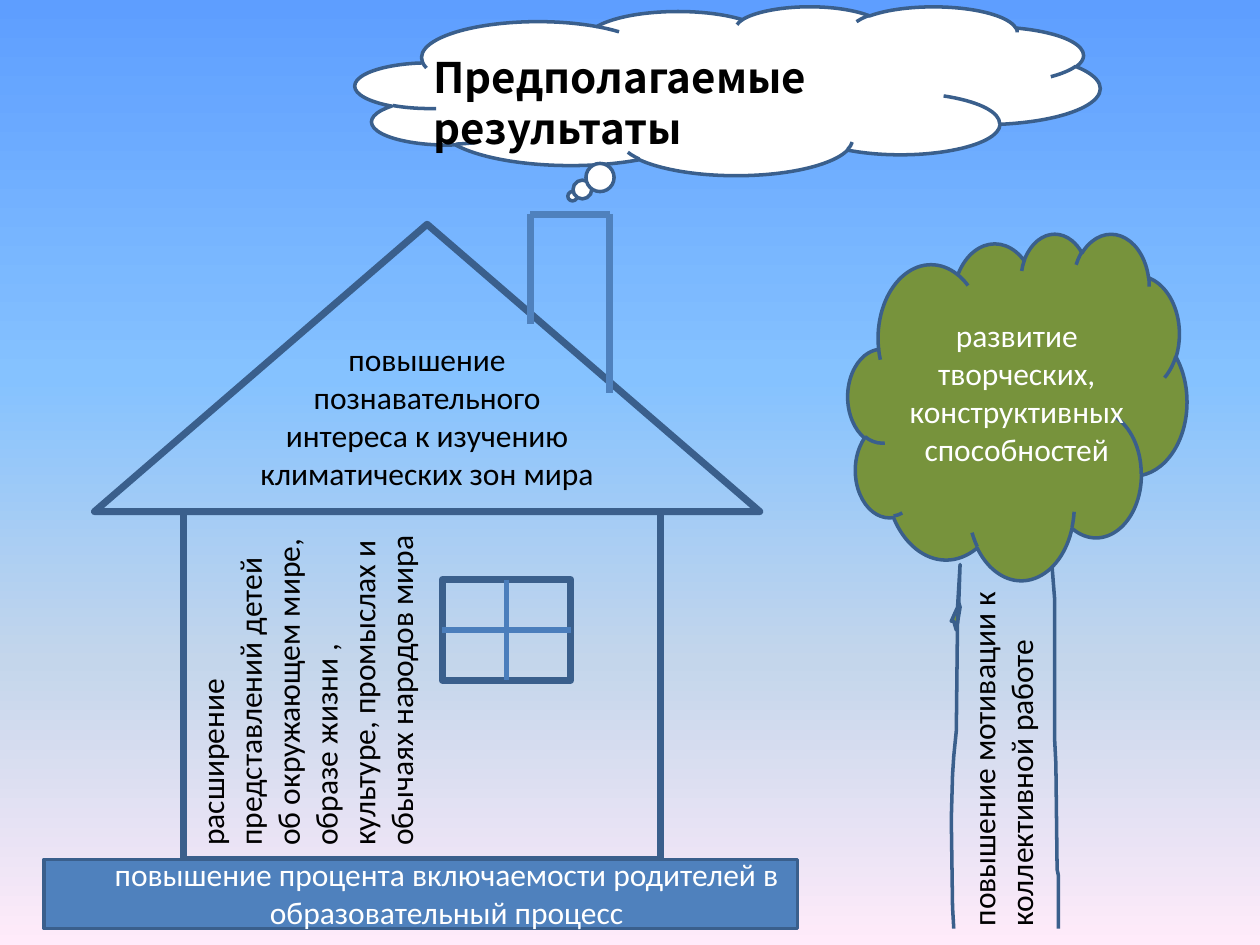
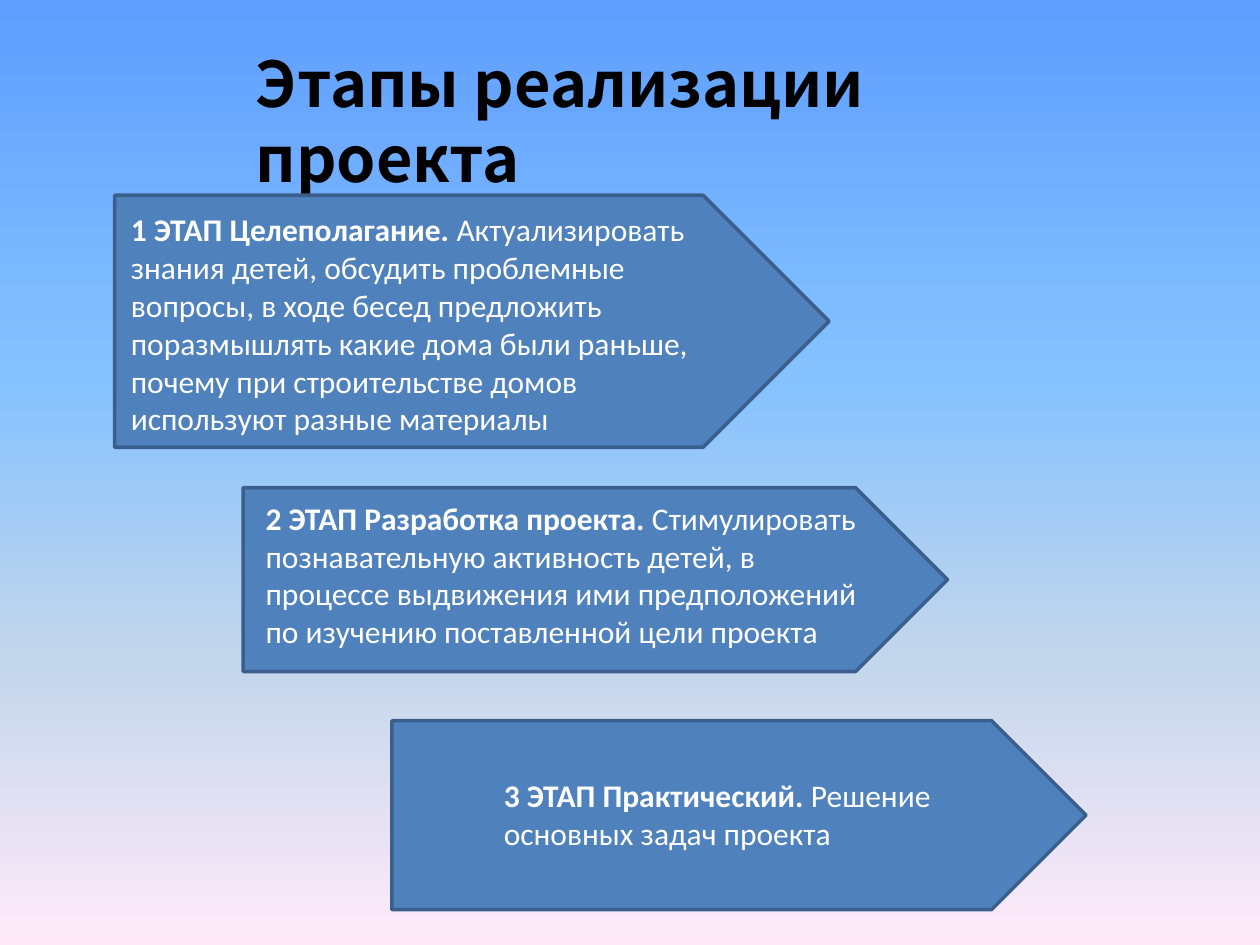
from lxml.etree import SubElement
from pptx import Presentation
from pptx.dml.color import RGBColor
from pptx.enum.shapes import MSO_CONNECTOR, MSO_SHAPE
from pptx.enum.text import MSO_ANCHOR, MSO_AUTO_SIZE, PP_ALIGN
from pptx.oxml.ns import qn
from pptx.util import Inches, Pt

# Grid: 100 columns by 75 rows of square cells
SLIDE_WIDTH, SLIDE_HEIGHT = Inches(10), Inches(7.5)
CELL = SLIDE_WIDTH / 100

BLACK = RGBColor(0x00, 0x00, 0x00)
WHITE = RGBColor(0xFF, 0xFF, 0xFF)
BLUE = RGBColor(0x4F, 0x81, 0xBD)
PANE_BLUE = RGBColor(0x4B, 0x7E, 0xBC)
OUTLINE = RGBColor(0x3A, 0x5F, 0x8C)
LEAF_GREEN = RGBColor(0x77, 0x93, 0x3C)
SKY = [(0, RGBColor(0x5E, 0x9E, 0xFF)), (40, RGBColor(0x85, 0xC2, 0xFF)),
       (70, RGBColor(0xC4, 0xD6, 0xEB)), (100, RGBColor(0xFF, 0xEB, 0xFA))]
TITLE_FONT, BODY_FONT = "Noto Sans CJK KR", "Calibri"
BODY_SIZE = 18

# Stage arrow and text areas (column, row, columns, rows) and (heading, text) lines
STAGES = [
    ((9.1, 15.5, 56.7, 20), (9.4, 16.2, 50, 19.2),
     [("1 ЭТАП Целеполагание.",
       " Актуализировать знания детей, обсудить проблемные вопросы, в ходе бесед "
       "предложить поразмышлять какие дома были раньше, почему при строительстве "
       "домов используют разные материалы")]),
    ((19.3, 38.7, 55.9, 14.6), (20.1, 39.1, 50, 13.1),
     [("2 ЭТАП Разработка проекта.",
       " Стимулировать познавательную активность детей, в процессе выдвижения ими "
       "предположений по изучению поставленной цели проекта")]),
    ((31.1, 57.2, 55.1, 15), (39, 61.1, 41.7, 7.1),
     [("3 ЭТАП Практический.", " Решение"), ("", "основных задач проекта")]),
]


def cells(*lengths):
    return [round(length * CELL) for length in lengths]


def paint_sky(master):
    fill = master.background.fill
    fill.gradient()
    fill.gradient_angle = 270
    stops = master.element.find(".//" + qn("a:gsLst"))
    for stop in list(stops):
        stops.remove(stop)
    for percent, color in SKY:
        stop = SubElement(stops, qn("a:gs"), pos=str(percent * 1000))
        SubElement(stop, qn("a:srgbClr"), val=str(color))


def style_outline(shape, fill=None, weight=2):
    shape.shadow.inherit = False
    if fill is None:
        shape.fill.background()
    else:
        shape.fill.solid()
        shape.fill.fore_color.rgb = fill
    shape.line.color.rgb = OUTLINE
    shape.line.width = Pt(weight)


def add_figure(shapes, kind, area, fill=None, weight=2):
    figure = shapes.add_shape(kind, *cells(*area))
    style_outline(figure, fill, weight)
    return figure


def add_contour(shapes, points, fill=None, close=False):
    start, *rest = [cells(*point) for point in points]
    builder = shapes.build_freeform(*start)
    builder.add_line_segments(rest, close=close)
    style_outline(builder.convert_to_shape(), fill)


def add_line(shapes, start, end, color, weight):
    line = shapes.add_connector(MSO_CONNECTOR.STRAIGHT, *cells(*start, *end))
    line.line.color.rgb = color
    line.line.width = Pt(weight)
    SubElement(line.element.spPr, qn("a:effectLst"))


def format_run(run, color, size=BODY_SIZE, font=BODY_FONT, bold=False):
    run.font.name, run.font.size, run.font.bold = font, Pt(size), bold
    run.font.color.rgb = color


def add_caption(shapes, area, lines, color, align=PP_ALIGN.LEFT, rotation=0):
    """Each line is a (bold heading, plain text) pair."""
    caption = shapes.add_textbox(*cells(*area))
    caption.rotation = rotation
    frame = caption.text_frame
    frame.word_wrap = True
    frame.text = "\n".join(heading + text for heading, text in lines)
    for paragraph, (heading, text) in zip(frame.paragraphs, lines):
        paragraph.alignment = align
        if heading:
            paragraph.runs[0].text = heading
            paragraph.add_run().text = text
        for run in paragraph.runs:
            format_run(run, color, bold=run.text == heading)


def set_title(slide, text, area, size):
    title = slide.shapes.title
    title.left, title.top, title.width, title.height = cells(*area)
    frame = title.text_frame
    frame.text = text
    frame.word_wrap = True
    frame.auto_size = MSO_AUTO_SIZE.NONE
    frame.vertical_anchor = MSO_ANCHOR.TOP
    frame.paragraphs[0].alignment = PP_ALIGN.LEFT
    format_run(frame.paragraphs[0].runs[0], BLACK, size, TITLE_FONT, True)
    return title


def draw_house(shapes):
    # Walls and roof
    add_figure(shapes, MSO_SHAPE.RECTANGLE, (14.6, 40.6, 37.8, 27.6), weight=4)
    add_figure(shapes, MSO_SHAPE.ISOSCELES_TRIANGLE, (7.5, 17.8, 52.8, 22.8), weight=4)

    # Window with its crossing bars
    left, top, width, height = window = (35.1, 46, 10.2, 8)
    add_figure(shapes, MSO_SHAPE.RECTANGLE, window, weight=4)
    middle, center = left + width / 2, top + height / 2
    add_line(shapes, (middle, top), (middle, top + height), PANE_BLUE, 3)
    add_line(shapes, (left, center), (left + width, center), PANE_BLUE, 3)

    # Chimney
    chimney = [(42.1, 25.7), (42.1, 17), (48.4, 17), (48.4, 31.2)]
    for start, end in zip(chimney, chimney[1:]):
        add_line(shapes, start, end, BLUE, 4)

    # Captions on the walls, roof and foundation
    add_caption(shapes, (10.6, 44.7, 27.6, 19.2),
                [("", "расширение представлений детей об окружающем мире, образе жизни , "
                      "культуре, промыслах и обычаях народов мира")], BLACK, rotation=270)
    roof_lines = ["повышение", "познавательного", "интереса к изучению",
                  "климатических зон мира"]
    add_caption(shapes, (8.9, 26.5, 50, 13.1), [("", line) for line in roof_lines],
                BLACK, PP_ALIGN.CENTER)
    add_figure(shapes, MSO_SHAPE.RECTANGLE, (3.5, 68.2, 59.8, 5.5), BLUE)
    add_caption(shapes, (2.8, 67.4, 65.3, 7.1),
                [("", "повышение процента включаемости родителей в образовательный процесс")],
                WHITE, PP_ALIGN.CENTER)


def draw_tree(shapes):
    # Trunk with a knot on its left side
    add_contour(shapes, [(76.2, 44.8), (76.1, 47.8), (76.2, 48.2), (75.9, 50),
                         (75.7, 49.3), (75.5, 49.3), (76, 48.2)], LEAF_GREEN, close=True)
    add_contour(shapes, [(83.5, 45), (83.7, 47.5), (83.7, 58.6), (83.8, 60.6),
                         (83.9, 69), (84, 69.5), (84, 73.7)])
    add_contour(shapes, [(76, 48.7), (75.9, 58), (75.7, 60), (75.6, 61.5),
                         (75.5, 65), (75.6, 72), (75.7, 73.7)])

    # Crown and captions
    add_figure(shapes, MSO_SHAPE.CLOUD, (67.3, 18.5, 26.9, 27.5), LEAF_GREEN)
    add_caption(shapes, (68.9, 24.6, 23.6, 13.1),
                [("", "развитие творческих, конструктивных способностей")],
                WHITE, PP_ALIGN.CENTER)
    add_caption(shapes, (64.8, 56.2, 29.5, 7.1),
                [("", "повышение мотивации к коллективной работе")], BLACK, rotation=270)


def build_results(slide):
    draw_house(slide.shapes)
    draw_tree(slide.shapes)
    smoke = add_figure(slide.shapes, MSO_SHAPE.CLOUD_CALLOUT, (28.2, 0.5, 59.1, 13.4), WHITE)
    title = set_title(slide, "Предполагаемые результаты", (33.4, 3.6, 48, 5), 24)
    smoke.element.addnext(title.element)


def build_stages(slide):
    set_title(slide, "Этапы реализации проекта", (19.3, 3, 66, 7.1), 36)
    for arrow_area, text_area, lines in STAGES:
        stage = slide.shapes.add_group_shape()
        add_figure(stage.shapes, MSO_SHAPE.PENTAGON, arrow_area, BLUE)
        add_caption(stage.shapes, text_area, lines, WHITE)


def main():
    deck = Presentation()
    deck.slide_width, deck.slide_height = SLIDE_WIDTH, SLIDE_HEIGHT
    paint_sky(deck.slide_master)
    title_only = deck.slide_layouts[5]
    for build in (build_results, build_stages):
        build(deck.slides.add_slide(title_only))
    deck.save("out.pptx")


if __name__ == "__main__":
    main()
